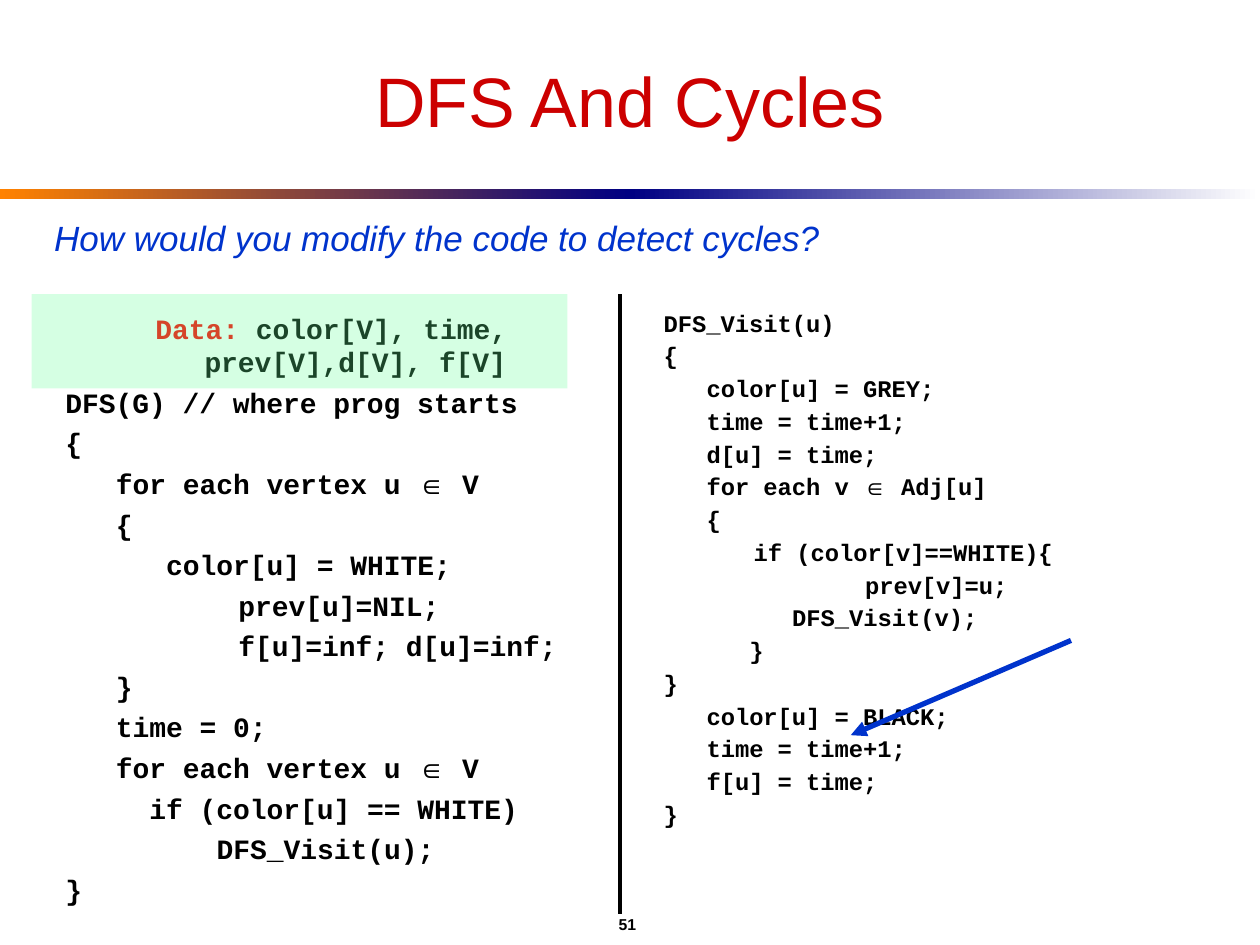
from dataclasses import dataclass

from lxml import etree
from pptx import Presentation
from pptx.dml.color import RGBColor
from pptx.enum.shapes import MSO_CONNECTOR, MSO_SHAPE
from pptx.enum.text import MSO_ANCHOR, PP_ALIGN
from pptx.oxml.ns import qn
from pptx.util import Cm, Pt

STRAIGHT = MSO_CONNECTOR.STRAIGHT
RECTANGLE = MSO_SHAPE.RECTANGLE
TOP, MIDDLE = MSO_ANCHOR.TOP, MSO_ANCHOR.MIDDLE
LEFT, CENTER = PP_ALIGN.LEFT, PP_ALIGN.CENTER


@dataclass(frozen=True)
class Theme:
    """Colours, fonts and type sizes of the deck."""
    sans: str = "Arial"
    mono: str = "Courier New"
    ink: str = "000000"
    title: str = "CC0000"
    data: str = "FF0000"
    accent: str = "0033CC"
    highlight: str = "66FF99"
    orange: str = "FF8200"
    navy: str = "000082"
    paper: str = "FFFFFF"
    title_size: float = 40
    question_size: float = 20
    main_size: float = 16
    visit_size: float = 13.6
    number_size: float = 9
    space_before: float = 4


THEME = Theme()
CHAR_WIDTH = 0.6

MAIN_CODE = [
    (0, "DFS(G) // where prog starts"),
    (0, "{"),
    (3, "for each vertex u ∈ V"),
    (3, "{"),
    (6, "color[u] = WHITE;"),
    (10.3, "prev[u]=NIL;"),
    (10.3, "f[u]=inf; d[u]=inf;"),
    (3, "}"),
    (3, "time = 0;"),
    (3, "for each vertex u ∈ V"),
    (5, "if (color[u] == WHITE)"),
    (9, "DFS_Visit(u);"),
    (0, "}"),
]
VISIT_CODE = [
    (0, "DFS_Visit(u)"),
    (0, "{"),
    (3, "color[u] = GREY;"),
    (3, "time = time+1;"),
    (3, "d[u] = time;"),
    (3, "for each v ∈ Adj[u]"),
    (3, "{"),
    (6.3, "if (color[v]==WHITE){"),
    (14.1, "prev[v]=u;"),
    (9, "DFS_Visit(v);"),
    (6, "}"),
    (0, "}"),
    (3, "color[u] = BLACK;"),
    (3, "time = time+1;"),
    (3, "f[u] = time;"),
    (0, "}"),
]


def set_attributes(target, values):
    """Set each named format value on the target."""
    for name, value in values.items():
        setattr(target, name, value)


def add_span(para, text, color, **font):
    """Append a run with the given font values."""
    span = para.add_run()
    span.text = text
    set_attributes(span.font, font)
    span.font.color.rgb = RGBColor.from_string(color)


def add_frame(page, box, anchor=TOP):
    """Add a wrapping text box and return its frame."""
    frame = page.shapes.add_textbox(*map(Cm, box)).text_frame
    set_attributes(frame, {"word_wrap": True, "vertical_anchor": anchor})
    return frame


def add_label(page, box, text, color, align=LEFT, anchor=TOP, **font):
    """Add a single line of sans text in the box."""
    para = add_frame(page, box, anchor).paragraphs[0]
    para.alignment = align
    add_span(para, text, color, name=THEME.sans, **font)


def set_indent(para, margin, first=0):
    """Set the left margin and first-line indent of a paragraph."""
    properties = para._p.get_or_add_pPr()
    properties.set("marL", str(int(margin)))
    properties.set("indent", str(int(first)))


def add_code_line(para, columns, text, size):
    """Write one code line, indented by a number of characters."""
    set_indent(para, Pt(columns * CHAR_WIDTH * size))
    before, sign, after = text.partition("∈")
    for part, face in ((before, THEME.mono), (sign, THEME.sans), (after, THEME.mono)):
        if part:
            add_span(para, part, THEME.ink, name=face, size=Pt(size), bold=True)


def add_code(page, box, lines, size, pitch, data=None):
    """Fill the box with code below an optional centred data line."""
    frame = add_frame(page, box)
    paras = [frame.paragraphs[0]]
    paras += [frame.add_paragraph() for _ in range(len(lines) - (data is None))]
    for para in paras:
        set_attributes(para, {"space_before": Pt(THEME.space_before),
                              "line_spacing": Pt(pitch), "alignment": LEFT})
    if data:
        head = paras.pop(0)
        head.alignment = CENTER
        set_indent(head, Cm(0.97), -Cm(0.97))
        for text, color in zip(data, (THEME.data, THEME.ink)):
            add_span(head, text, color, name=THEME.mono, size=Pt(size), bold=True)
    for para, (columns, text) in zip(paras, lines):
        add_code_line(para, columns, text, size)


def add_panel(page, box):
    """Add a plain rectangle without line or shadow."""
    panel = page.shapes.add_shape(RECTANGLE, *map(Cm, box))
    panel.shadow.inherit = False
    panel.line.fill.background()
    return panel


def add_rule(page, box):
    """Split the box into two gradient halves meeting in navy."""
    left, top, width, height = box
    half = width / 2
    for index, colors in enumerate(((THEME.orange, THEME.navy), (THEME.navy, THEME.paper))):
        fill = add_panel(page, (left + index * half, top, half, height)).fill
        fill.gradient()
        fill.gradient_angle = 0
        for stop, color in zip(fill.gradient_stops, colors):
            stop.color.rgb = RGBColor.from_string(color)


def add_highlight(page, box, percent):
    """Add a translucent panel over the box."""
    panel = add_panel(page, box)
    panel.fill.solid()
    panel.fill.fore_color.rgb = RGBColor.from_string(THEME.highlight)
    color = panel._element.spPr.find(qn("a:solidFill")).find(qn("a:srgbClr"))
    etree.SubElement(color, qn("a:alpha"), val=str(percent * 1000))


def add_line(page, ends, color, width, arrow=False):
    """Draw a straight line, with an arrowhead at its end if asked."""
    line = page.shapes.add_connector(STRAIGHT, *map(Cm, ends))
    line.line.color.rgb = RGBColor.from_string(color)
    line.line.width = Pt(width)
    if arrow:
        etree.SubElement(line.line._get_or_add_ln(), qn("a:tailEnd"), type="triangle")
    etree.SubElement(line._element.spPr, qn("a:effectLst"))


def add_header(page, box):
    """Place the title, gradient rule and question in the box."""
    left, top, width, _ = box
    add_rule(page, (left, top + 3.81, width, 0.2))
    add_label(page, (left + 1.27, top + 0.64, width - 2.54, 2.74), "DFS And Cycles",
              THEME.title, CENTER, MIDDLE, size=Pt(THEME.title_size))
    add_label(page, (left + 0.84, top + 4.24, width - 0.84, 1.12),
              "How would you modify the code to detect cycles?",
              THEME.accent, size=Pt(THEME.question_size), italic=True)


def add_listings(page, box):
    """Place both code listings, their divider and the marks in the box."""
    left, top, _, height = box
    add_code(page, (left + 0.43, top + 0.22, 11.22, 12.9), MAIN_CODE, THEME.main_size, 19.2,
             ("Data: ", "color[V], time, prev[V],d[V], f[V]"))
    add_code(page, (left + 12.49, top + 0.22, 11.22, 12.07), VISIT_CODE, THEME.visit_size, 14.7)
    middle = left + 11.85
    add_line(page, (middle, top + height, middle, top), THEME.ink, 2.25)
    add_highlight(page, (left, top, 10.8, 1.9), 27)
    add_line(page, (left + 20.95, top + 6.98, left + 16.51, top + 8.89), THEME.accent, 3, True)


def main():
    """Build and save the slide."""
    deck = Presentation()
    set_attributes(deck, {"slide_width": Cm(25.4), "slide_height": Cm(19.05)})
    page = deck.slides.add_slide(deck.slide_layouts[6])
    add_header(page, (0, 0, 25.4, 5.4))
    add_label(page, (1.22, 18.21, 22.86, 0.84), "51", THEME.ink, CENTER, MIDDLE,
              size=Pt(THEME.number_size), bold=True)
    add_listings(page, (0.64, 5.93, 24.13, 12.49))
    deck.save("out.pptx")


if __name__ == "__main__":
    main()
